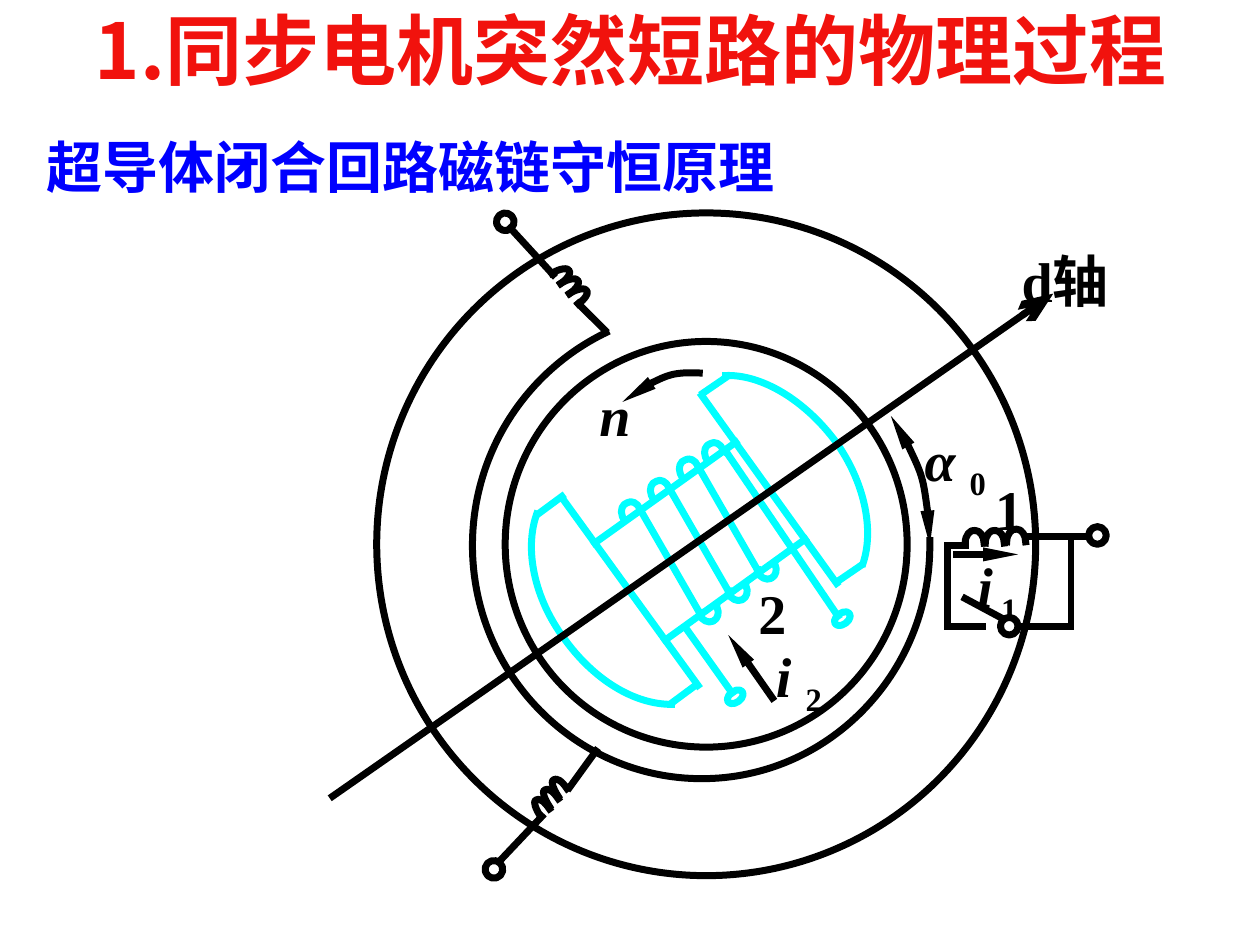
from copy import deepcopy
from dataclasses import dataclass
from math import cos, radians, sin
from pptx import Presentation
from pptx.dml.color import RGBColor
from pptx.enum.shapes import MSO_CONNECTOR, MSO_SHAPE
from pptx.enum.text import MSO_ANCHOR, PP_ALIGN
from pptx.oxml.ns import qn
from pptx.util import Inches, Pt
from lxml import etree

STRAIGHT = MSO_CONNECTOR.STRAIGHT
CIRCLE, RING = MSO_SHAPE.FLOWCHART_CONNECTOR, MSO_SHAPE.DONUT
TOP, MIDDLE = MSO_ANCHOR.TOP, MSO_ANCHOR.MIDDLE
LEFT, CENTER = PP_ALIGN.LEFT, PP_ALIGN.CENTER
SLIM_HEAD = {"type": "triangle", "w": "sm", "len": "lg"}
OPEN_HEAD = {"type": "arrow", "w": "med", "len": "lg"}


@dataclass(frozen=True)
class Theme:
    title: RGBColor = RGBColor(0xF1, 0x12, 0x0D)
    subtitle: RGBColor = RGBColor(0, 0, 255)
    ink: RGBColor = RGBColor(0, 0, 0)
    rotor: RGBColor = RGBColor(0, 255, 255)
    title_size: int = 44
    space_size: int = 40
    label_size: int = 32
    line_width: int = 4
    chinese_font: str = "Noto Sans CJK SC"
    label_font: str = "Times New Roman"


THEME = Theme()


def turn_point(point, degrees):
    x, y = point
    angle = radians(degrees)
    return x * cos(angle) - y * sin(angle), x * sin(angle) + y * cos(angle)


@dataclass
class Region:
    slide: object
    left: float
    top: float
    color: RGBColor = THEME.ink

    def place(self, point, shift=(0, 0)):
        return (Inches(self.left + point[0] + shift[0]),
                Inches(self.top + point[1] + shift[1]))

    def outline(self, shape, **arrows):
        shape.line.color.rgb = self.color
        shape.line.width = Pt(THEME.line_width)
        line = shape._element.spPr.find(qn("a:ln"))
        line.set("cap", "sq")
        for end in ("headEnd", "tailEnd"):
            if end in arrows:
                etree.SubElement(line, qn(f"a:{end}"), arrows[end])

    def line(self, start, end, **arrows):
        connector = self.slide.shapes.add_connector(
            STRAIGHT, *self.place(start), *self.place(end))
        self.outline(connector, **arrows)
        etree.SubElement(connector._element.spPr, qn("a:effectLst"))

    def finish(self, shape, rotation, **arrows):
        shape.rotation = rotation
        shape.shadow.inherit = False
        shape.fill.background()
        self.outline(shape, **arrows)

    def shape(self, kind, left, top, width, height, rotation=0):
        shape = self.slide.shapes.add_shape(
            kind, *self.place((left, top)), Inches(width), Inches(height))
        self.finish(shape, rotation)
        return shape

    def curve(self, controls, shift=(0, 0), rotation=0, pivot=None, **arrows):
        points = controls + ([pivot] if pivot else [])
        points = [turn_point(self.place(point, shift), -rotation) for point in points]
        builder = self.slide.shapes.build_freeform(*points[0], scale=1.0)
        builder.add_line_segments(points[1:], close=False)
        shape = builder.convert_to_shape()
        middle = shape.left + shape.width / 2, shape.top + shape.height / 2
        x, y = turn_point(middle, rotation)
        shape.left, shape.top = int(x - shape.width / 2), int(y - shape.height / 2)
        bend(shape, len(controls))
        self.finish(shape, rotation, **arrows)

    def coil(self, controls, shifts, rotation):
        for shift in shifts:
            self.curve(controls, shift, rotation)

    def text(self, box, text, subscript="", size=THEME.label_size,
             font=THEME.label_font, italic=False, align=LEFT, anchor=TOP, wrap=True):
        left, top, width, height = box
        text_box = self.slide.shapes.add_textbox(
            *self.place((left, top)), Inches(width), Inches(height))
        frame = text_box.text_frame
        frame.word_wrap = wrap
        frame.vertical_anchor = anchor
        paragraph = frame.paragraphs[0]
        paragraph.alignment = align
        for content, slanted, baseline in ((text, italic, 0), (subscript, False, -25000)):
            if not content:
                continue
            run = paragraph.add_run()
            run.text = content
            formats = {"name": font, "size": Pt(size), "bold": True, "italic": slanted}
            for name, value in formats.items():
                setattr(run.font, name, value)
            run.font.color.rgb = self.color
            properties = run._r.get_or_add_rPr()
            etree.SubElement(properties, qn("a:ea"), typeface=THEME.chinese_font)
            if baseline:
                properties.set("baseline", str(baseline))
        return paragraph


def bend(shape, control_count):
    outline = next(shape._element.iter(qn("a:path")))
    segments = list(outline)
    for first in range(1, control_count, 3):
        cubic = etree.Element(qn("a:cubicBezTo"))
        segments[first].addprevious(cubic)
        for segment in segments[first:first + 3]:
            cubic.append(segment[0])
            outline.remove(segment)
    if len(segments) > control_count:
        sector = deepcopy(outline)
        sector.set("stroke", "0")
        etree.SubElement(sector, qn("a:close"))
        outline.remove(segments[-1])
        outline.addnext(sector)


def draw_heading(slide, box, text, color, size, align):
    left, top, width, height = box
    return Region(slide, left, top, color).text(
        (0, 0, width, height), text, size=size, font=THEME.chinese_font,
        align=align, anchor=MIDDLE)


def draw_rotor(slide, left, top):
    rotor = Region(slide, left, top, THEME.rotor)
    for start, end in (
            ((1.84, 1.51), (0.72, 2.31)), ((2.39, 2.28), (1.28, 3.08)),
            ((1.57, 1.14), (2.64, 2.63)), ((1.77, 0.99), (1.58, 1.12)),
            ((2.83, 2.49), (2.64, 2.62)), ((0.46, 1.95), (1.54, 3.44)),
            ((0.27, 2.08), (0.46, 1.94)), ((1.33, 3.58), (1.52, 3.44)),
            ((1.44, 2.98), (1.81, 3.5)), ((1.76, 1.58), (2.65, 2.89))):
        rotor.line(start, end)
    rotor.curve([(2.85, 2.47), (2.94, 2.2), (2.86, 1.82), (2.63, 1.5),
                 (2.39, 1.18), (2.05, 0.97), (1.76, 0.98)],
                rotation=234.3, pivot=(2.07, 1.9))
    rotor.curve([(1.33, 3.59), (1.03, 3.59), (0.71, 3.39), (0.48, 3.07),
                 (0.24, 2.75), (0.16, 2.36), (0.26, 2.08)],
                rotation=234.3, pivot=(1.03, 2.67))
    turns = [(-0.23 * turn, 0.17 * turn) for turn in range(3)]
    rotor.coil([(1.55, 1.71), (1.54, 1.71), (1.54, 1.7), (1.54, 1.7),
                (1.52, 1.65), (1.47, 1.63), (1.44, 1.65),
                (1.4, 1.66), (1.38, 1.71), (1.4, 1.76),
                (1.4, 1.77), (1.41, 1.77), (1.41, 1.78)], turns + [(0.2, -0.13)], 337.1)
    rotor.coil([(2.15, 2.47), (2.15, 2.47), (2.15, 2.47), (2.15, 2.48),
                (2.17, 2.52), (2.16, 2.57), (2.12, 2.59),
                (2.08, 2.61), (2.03, 2.58), (2.01, 2.54),
                (2.01, 2.53), (2.01, 2.52), (2.01, 2.52)], turns, 157.1)
    for dx, dy in turns:
        rotor.line((1.55 + dx, 1.72 + dy), (2.01 + dx, 2.52 + dy))
    for x, y in ((1.79, 3.46), (2.64, 2.84)):
        rotor.shape(CIRCLE, x, y, 0.09, 0.14, 54.3)


def draw_stator(slide, left, top):
    stator = Region(slide, left, top)
    ring = stator.shape(RING, 0.99, 0.69, 5.23, 5.26)
    ring.adjustments[0] = 1.02 / 5.23
    stator.curve([(2.81, 1.64), (2.17, 1.95), (1.75, 2.6), (1.75, 3.33),
                  (1.75, 4.35), (2.57, 5.18), (3.57, 5.18),
                  (4.57, 5.18), (5.38, 4.35), (5.38, 3.33),
                  (5.38, 3.31), (5.38, 3.3), (5.38, 3.29)])
    for start, end in (((2.59, 1.41), (2.8, 1.62)), ((2.39, 1.18), (2.05, 0.81)),
                       ((2.3, 5.48), (1.96, 5.84)), ((2.73, 4.96), (2.52, 5.25))):
        stator.line(start, end)
    stator.coil([(2.38, 1.17), (2.44, 1.13), (2.51, 1.12), (2.52, 1.15),
                 (2.53, 1.17), (2.5, 1.22), (2.45, 1.25)],
                [(0.07 * turn, 0.08 * turn) for turn in range(3)], 149.1)
    stator.coil([(2.29, 5.48), (2.25, 5.42), (2.23, 5.36), (2.25, 5.35),
                 (2.28, 5.33), (2.32, 5.36), (2.36, 5.42)],
                [(0.07 * turn, -0.08 * turn) for turn in range(3)], 54.8)
    for x, y, rotation in ((1.94, 0.69, 227.1), (1.85, 5.83, 132.8)):
        stator.shape(CIRCLE, x, y, 0.14, 0.14, rotation)


def draw_short_circuit(slide, left, top):
    circuit = Region(slide, left, top)
    for start, end in (
            ((0.52, 0.33), (0.66, 0.33)), ((1.15, 0.26), (1.64, 0.26)),
            ((0.52, 0.33), (0.52, 0.97)), ((0.52, 0.97), (0.8, 0.97)),
            ((0.66, 0.75), (0.94, 0.9)), ((1.08, 0.97), (1.5, 0.97)),
            ((1.5, 0.97), (1.5, 0.26))):
        circuit.line(start, end)
    circuit.line((0.59, 0.4), (1.08, 0.4), tailEnd=SLIM_HEAD)
    circuit.coil([(0.66, 0.31), (0.66, 0.25), (0.7, 0.2), (0.74, 0.21),
                  (0.78, 0.21), (0.81, 0.26), (0.81, 0.31)],
                 [(0, 0), (0.16, 0), (0.33, -0.01)], 94.9)
    for x, y in ((1.64, 0.18), (0.94, 0.9)):
        circuit.shape(CIRCLE, x, y, 0.14, 0.14)
    circuit.text((0.66, 0.33, 0.77, 0.54), "i", " 1", italic=True)
    circuit.text((0.8, -0.24, 0.35, 0.54), "1", align=CENTER, anchor=MIDDLE, wrap=False)


def draw_axis_and_labels(slide, left, top):
    axis = Region(slide, left, top)
    axis.line((0.64, 4.32), (6.36, 0.33), tailEnd=OPEN_HEAD)
    axis.line((3.78, 3.04), (4.13, 3.54), headEnd=SLIM_HEAD)
    axis.curve([(5.07, 1.3), (5.28, 1.6), (5.38, 1.96), (5.38, 2.33)],
               pivot=(3.57, 2.33), headEnd=SLIM_HEAD, tailEnd=SLIM_HEAD)
    axis.curve([(2.94, 1.19), (3.13, 1.03), (3.34, 0.95), (3.55, 0.96)],
               rotation=279.9, pivot=(3.35, 2.73), headEnd=SLIM_HEAD)
    axis.text((4.06, 3.04, 0.84, 0.54), "i ", "2", italic=True)
    axis.text((3.92, 2.54, 0.91, 0.54), "2")
    axis.text((5.24, 1.33, 1.33, 0.54), "α ", "0", italic=True)
    axis.text((2.66, 0.97, 0.7, 0.54), "n", italic=True)
    axis.text((6.01, -0.09, 1.19, 0.54), "d轴")


def main():
    presentation = Presentation()
    presentation.slide_width, presentation.slide_height = Inches(10), Inches(7.5)
    slide = presentation.slides.add_slide(presentation.slide_layouts[6])
    subtitle = draw_heading(slide, (0.27, 0.92, 9, 0.71), "超导体闭合回路磁链守恒原理",
                            THEME.subtitle, THEME.label_size, LEFT)
    space = subtitle.add_run()
    space.text = " "
    space.font.size = Pt(THEME.space_size)
    draw_heading(slide, (0.51, 0.06, 9, 0.65), "1.同步电机突然短路的物理过程",
                 THEME.title, THEME.title_size, CENTER)
    draw_rotor(slide, 4, 2)
    draw_stator(slide, 2, 1)
    draw_short_circuit(slide, 7, 4)
    draw_axis_and_labels(slide, 2, 2)
    presentation.save("out.pptx")


if __name__ == "__main__":
    main()
